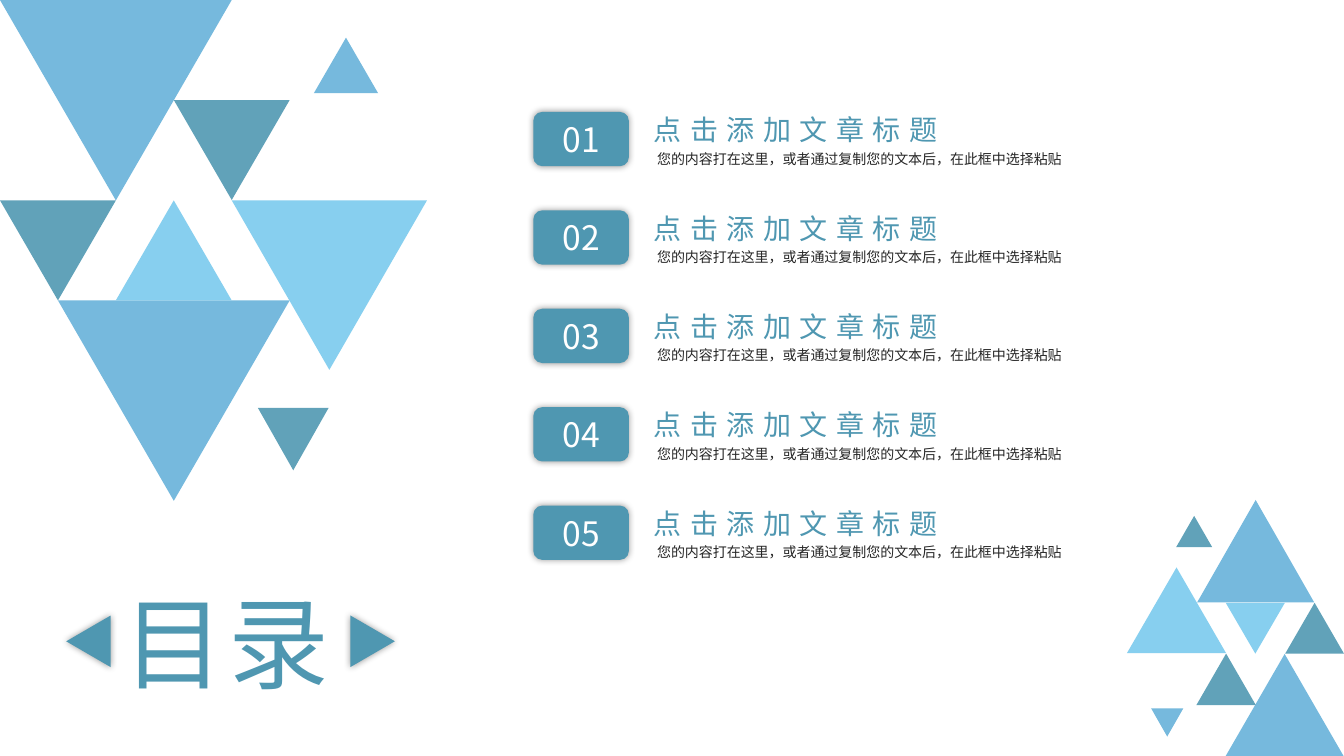
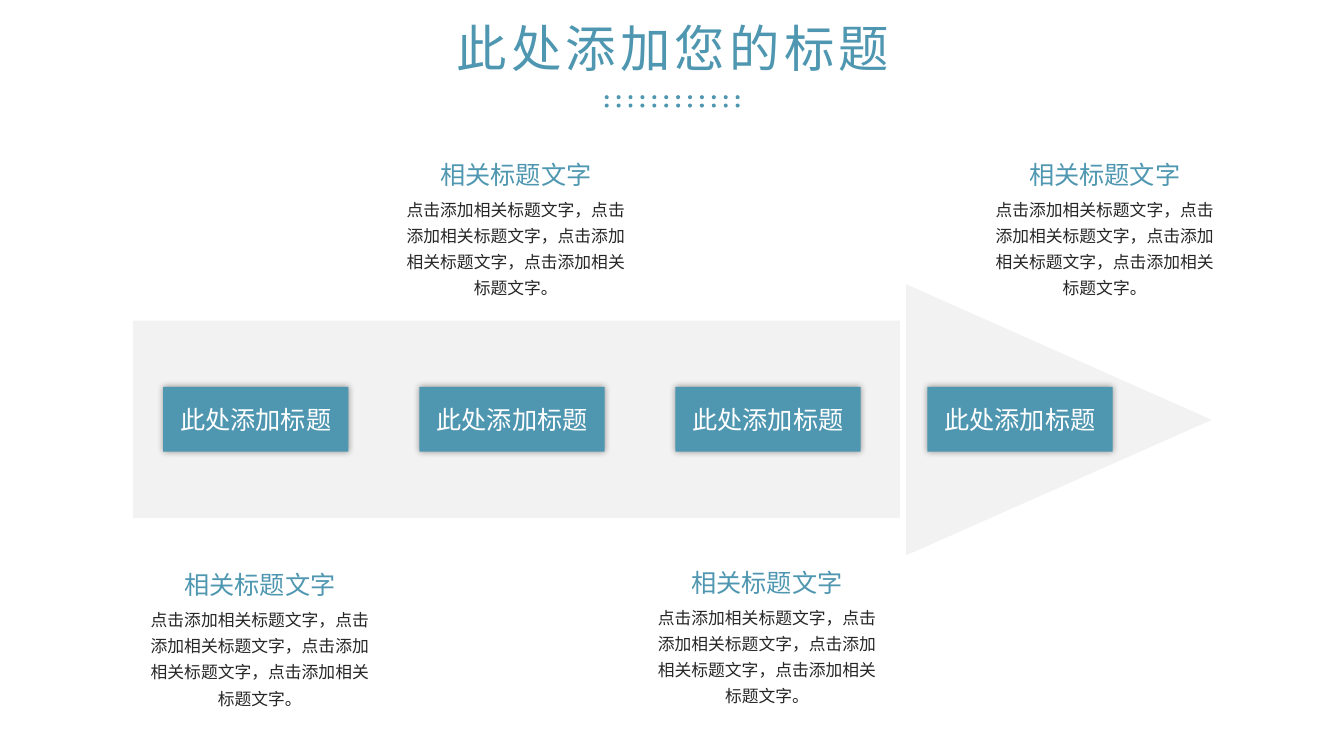
"""Build a contents slide and a four-step arrow slide."""
from dataclasses import dataclass

from lxml import etree
from pptx import Presentation
from pptx import util as u
from pptx.dml.color import RGBColor
from pptx.enum import lang, shapes, text
from pptx.oxml.ns import qn

Cm = u.Cm
SHAPE = shapes.MSO_SHAPE
ALIGN = text.PP_ALIGN
ANCHOR = text.MSO_ANCHOR


@dataclass(frozen=True)
class Theme:
    teal: str = "4F97B1"
    blue: str = "76B9DD"
    sky: str = "87CFEF"
    slate: str = "61A2B9"
    band: str = "F2F2F2"
    ink: str = "262626"
    white: str = "FFFFFF"
    font: str = "Noto Sans CJK SC"
    note_font: str = "Arial"
    cover: float = 72
    title: float = 36
    number: float = 24
    item: float = 20
    step: float = 18
    note: float = 12
    caption: float = 10


T = Theme()


@dataclass(frozen=True)
class Box:
    x: float
    y: float
    w: float
    h: float

    def lengths(self) -> tuple:
        return tuple(Cm(v) for v in (self.x, self.y, self.w, self.h))


@dataclass(frozen=True)
class Style:
    size: float
    color: str
    font: str = T.font
    align: ALIGN = ALIGN.LEFT
    line: float = 1.0
    spacing: float = 0


@dataclass(frozen=True)
class Triangle:
    box: Box
    color: str
    down: bool = False


@dataclass(frozen=True)
class Note:
    x: float
    y: float


COVER = Style(T.cover, T.teal, spacing=3)
TITLE = Style(T.title, T.teal, align=ALIGN.CENTER, spacing=3)
NUMBER = Style(T.number, T.white, align=ALIGN.CENTER)
ITEM = Style(T.item, T.teal, line=1.5, spacing=6)
CAPTION = Style(T.caption, T.ink, line=1.3)
STEP = Style(T.step, T.white, align=ALIGN.CENTER)
NOTE_HEAD = Style(T.step, T.teal, align=ALIGN.CENTER, line=1.3)
NOTE_BODY = Style(T.note, T.ink, T.note_font, ALIGN.CENTER, 1.3)

TRIANGLES = [
    Triangle(Box(0, 0, 5.84, 5.05), T.blue, True),
    Triangle(Box(5.84, 5.05, 4.92, 4.27), T.sky, True),
    Triangle(Box(0, 5.05, 2.92, 2.52), T.slate, True),
    Triangle(Box(4.38, 2.52, 2.92, 2.52), T.slate, True),
    Triangle(Box(6.5, 10.28, 1.78, 1.57), T.slate, True),
    Triangle(Box(1.46, 7.57, 5.84, 5.05), T.blue, True),
    Triangle(Box(7.91, 0.95, 1.62, 1.4), T.blue),
    Triangle(Box(2.92, 5.05, 2.92, 2.52), T.sky),
    Triangle(Box(30.89, 16.48, 2.97, 2.57), T.blue),
    Triangle(Box(28.4, 14.3, 2.5, 2.16), T.sky),
    Triangle(Box(32.39, 15.19, 1.48, 1.28), T.slate),
    Triangle(Box(30.15, 16.47, 1.5, 1.3), T.slate),
    Triangle(Box(29.64, 13, 0.91, 0.79), T.slate),
    Triangle(Box(30.17, 12.6, 2.95, 2.58), T.blue),
    Triangle(Box(29.01, 17.85, 0.81, 0.71), T.blue, True),
    Triangle(Box(30.89, 15.19, 1.49, 1.28), T.sky, True),
]
STEP_LEFTS = [4.11, 10.57, 17.02, 23.37]
NOTES = [Note(9.8, 3.66), Note(24.64, 3.66), Note(16.13, 13.94), Note(3.35, 14)]


def write(tf, content: str, style: Style) -> None:
    """Put one styled paragraph into a text frame."""
    p = tf.paragraphs[0]
    p.text = content
    p.alignment = style.align
    p.line_spacing = style.line
    f = p.font
    f.size = u.Pt(style.size)
    f.color.rgb = RGBColor.from_string(style.color)
    f.name = style.font
    f.language_id = lang.MSO_LANGUAGE_ID.SIMPLIFIED_CHINESE
    props = p._p.get_or_add_pPr().get_or_add_defRPr()
    etree.SubElement(props, qn("a:ea"), typeface=style.font)
    if style.spacing:
        props.set("spc", str(round(style.spacing * 100)))


def add_text(s, box: Box, content: str, style: Style, wrap: bool = False) -> None:
    """Add a text box that grows with its text."""
    tf = s.shapes.add_textbox(*box.lengths()).text_frame
    tf.word_wrap = wrap
    tf.auto_size = text.MSO_AUTO_SIZE.SHAPE_TO_FIT_TEXT
    write(tf, content, style)


def add_title(s, box: Box, content: str, style: Style,
              anchor: ANCHOR, margins: tuple[float, float]) -> None:
    """Place and format the title placeholder."""
    sp = s.shapes.title
    sp.left, sp.top, sp.width, sp.height = box.lengths()
    tf = sp.text_frame
    tf.word_wrap = False
    tf.auto_size = text.MSO_AUTO_SIZE.NONE
    tf.vertical_anchor = anchor
    tf.margin_left = tf.margin_right = Cm(margins[0])
    tf.margin_top = tf.margin_bottom = Cm(margins[1])
    write(tf, content, style)


def add_shape(s, kind: SHAPE, box: Box, color: str, rotation: float = 0, glow: bool = False):
    """Add a filled shape without outline, with an optional soft shadow."""
    sp = s.shapes.add_shape(kind, *box.lengths())
    sp.rotation = rotation
    sp.fill.solid()
    sp.fill.fore_color.rgb = RGBColor.from_string(color)
    sp.line.fill.background()
    sp.shadow.inherit = False
    if glow:
        effects = sp._element.spPr.find(qn("a:effectLst"))
        shadow = etree.SubElement(effects, qn("a:outerShdw"), blurRad=str(u.Pt(5)),
                                  dist="0", algn="ctr", rotWithShape="0")
        black = etree.SubElement(shadow, qn("a:srgbClr"), val="000000")
        etree.SubElement(black, qn("a:alpha"), val="40000")
    return sp


def add_label(s, kind: SHAPE, box: Box, content: str, style: Style) -> None:
    """Add a teal shadowed shape with a centred label."""
    tf = add_shape(s, kind, box, T.teal, glow=True).text_frame
    tf.word_wrap = False
    tf.vertical_anchor = ANCHOR.MIDDLE
    write(tf, content, style)


def build_contents(s) -> None:
    """Draw the contents slide."""
    for tri in TRIANGLES:
        add_shape(s, SHAPE.ISOSCELES_TRIANGLE, tri.box, tri.color, 180 if tri.down else 0)
    add_title(s, Box(2.79, 14.45, 6.02, 3.43), "目录", COVER, ANCHOR.TOP, (0.33, 0.18))
    for x, rotation in ((1.58, 270), (8.74, 90)):
        add_shape(s, SHAPE.ISOSCELES_TRIANGLE, Box(x, 15.6, 1.3, 1.12), T.teal, rotation, True)
    for i in range(5):
        y = 2.82 + 2.48 * i
        add_text(s, Box(16.23, y - 0.53, 7.92, 1.37), "点击添加文章标题", ITEM)
        add_text(s, Box(16.31, y + 0.71, 11.53, 0.81),
                 "您的内容打在这里，或者通过复制您的文本后，在此框中选择粘贴", CAPTION, True)
        add_label(s, SHAPE.ROUNDED_RECTANGLE, Box(13.44, y, 2.41, 1.37), f"{i + 1:02d}", NUMBER)


def build_steps(s) -> None:
    """Draw the arrow slide with four steps and their notes."""
    add_title(s, Box(11.4, 0.41, 11.13, 1.55), "此处添加您的标题", TITLE, ANCHOR.MIDDLE, (0, 0))
    for row in range(2):
        for col in range(12):
            add_shape(s, SHAPE.OVAL, Box(15.24 + 0.3 * col, 2.4 + 0.21 * row, 0.1, 0.1), T.teal)
    add_shape(s, SHAPE.ISOSCELES_TRIANGLE, Box(23.27, 6.73, 6.83, 7.7), T.band, 90)
    add_shape(s, SHAPE.RECTANGLE, Box(3.35, 8.08, 19.33, 4.98), T.band)
    for x in STEP_LEFTS:
        add_label(s, SHAPE.RECTANGLE, Box(x, 9.75, 4.67, 1.63), "此处添加标题", STEP)
    for note in NOTES:
        add_text(s, Box(note.x, note.y, 6.4, 1.17), "相关标题文字", NOTE_HEAD, True)
        add_text(s, Box(note.x, note.y + 1.09, 6.4, 2.92),
                 "点击添加相关标题文字，" * 3 + "点击添加相关标题文字。", NOTE_BODY, True)


def main() -> None:
    """Build and save the presentation."""
    prs = Presentation()
    prs.slide_width, prs.slide_height = Cm(33.87), Cm(19.05)
    for build in (build_contents, build_steps):
        build(prs.slides.add_slide(prs.slide_layouts[5]))
    prs.save("out.pptx")


if __name__ == "__main__":
    main()
